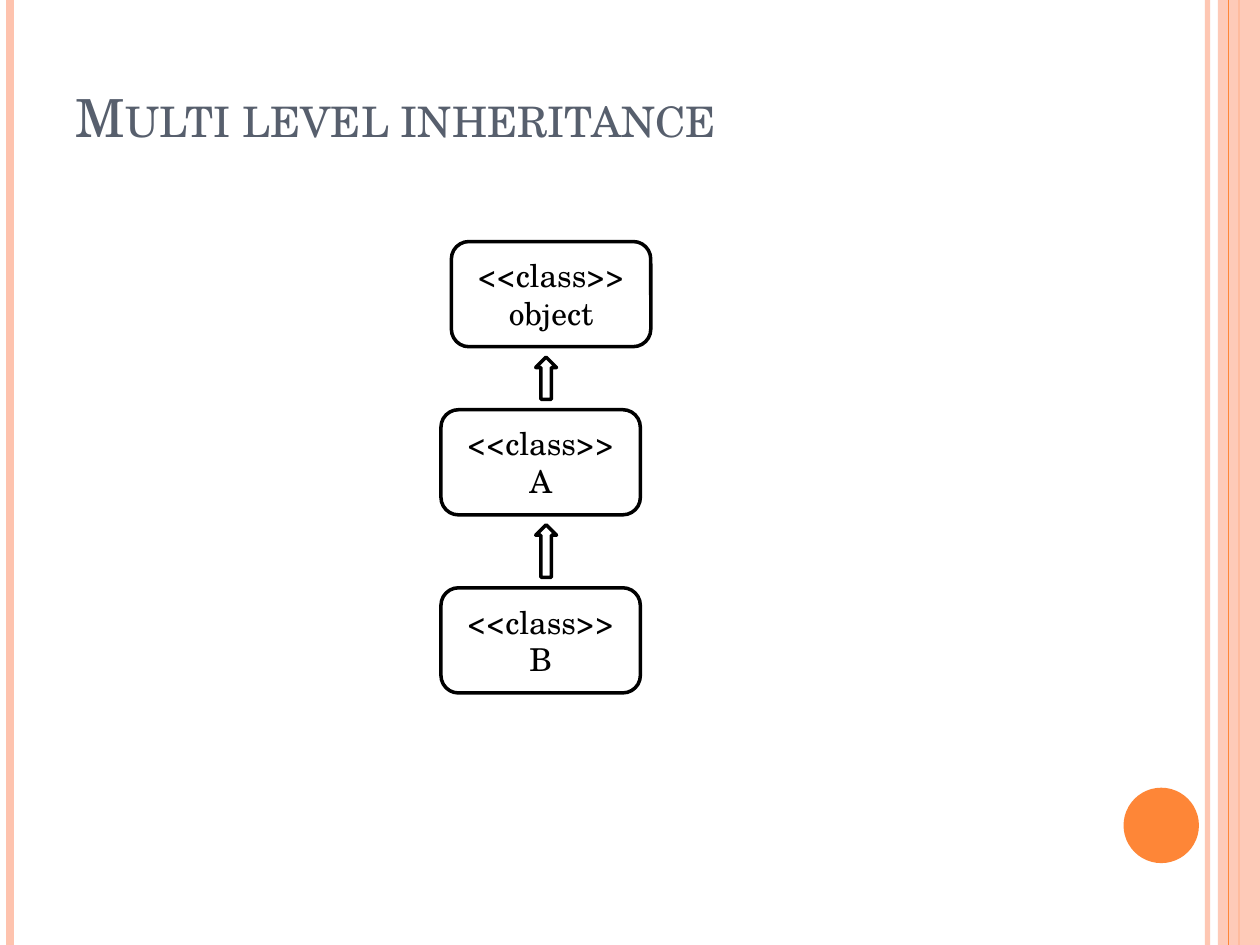
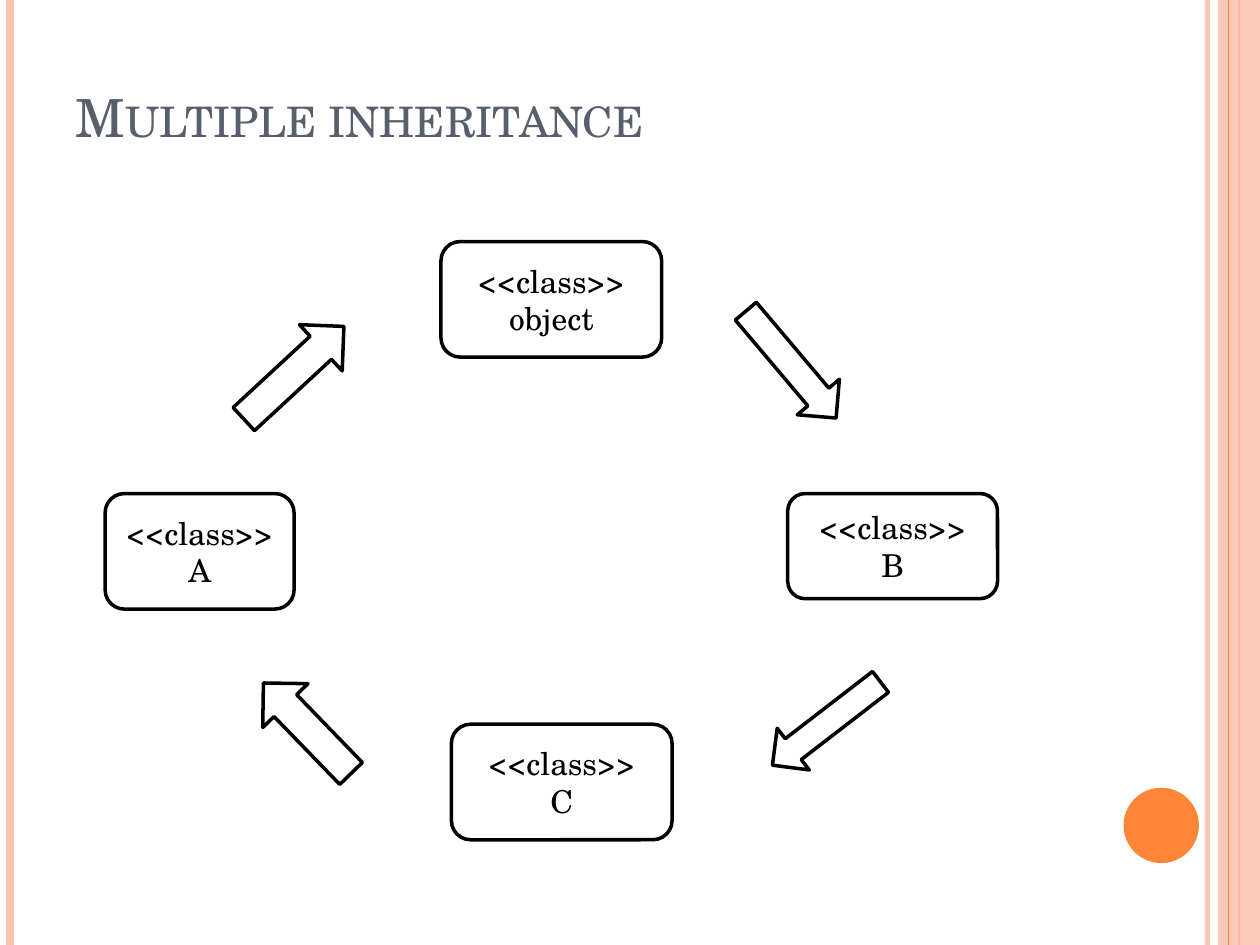
"""Build two slides of class inheritance diagrams."""
import pptx
import pptx.dml.color
import pptx.enum.shapes
import pptx.enum.text
import pptx.oxml.ns
import pptx.util
import lxml.etree

Cm = pptx.util.Cm
Pt = pptx.util.Pt
RGBColor = pptx.dml.color.RGBColor
MSO_SHAPE = pptx.enum.shapes.MSO_SHAPE
PP_ALIGN = pptx.enum.text.PP_ALIGN
MSO_ANCHOR = pptx.enum.text.MSO_ANCHOR
qn = pptx.oxml.ns.qn

PEACH = RGBColor(0xFE, 0xC3, 0xAE)
ORANGE = RGBColor(0xFE, 0x86, 0x37)
SLATE = RGBColor(0x57, 0x5F, 0x6D)
BLACK = RGBColor(0, 0, 0)
WHITE = RGBColor(255, 255, 255)
FONT = "TeX Gyre Schola"
WIDTH, HEIGHT = 25.4, 19.05


def add_shape(s, kind, box, fill, line=None):
    sp = s.shapes.add_shape(kind, *[Cm(v) for v in box])
    sp.shadow.inherit = False
    sp.fill.solid()
    sp.fill.fore_color.rgb = fill
    if line is None:
        sp.line.fill.background()
    else:
        sp.line.color.rgb = line
        sp.line.width = Pt(2)
    return sp


def add_run(p, text, size, color):
    r = p.add_run()
    r.text = text
    r.font.name = FONT
    r.font.size = Pt(size)
    r.font.color.rgb = color
    return r


prs = pptx.Presentation()
prs.slide_width, prs.slide_height = Cm(WIDTH), Cm(HEIGHT)
layout = prs.slide_layouts.get_by_name("Title Only")

title = layout.placeholders[0]
title.left, title.top, title.width, title.height = Cm(1.27), Cm(0.76), Cm(20.74), Cm(3.18)

pages = [
    ("Multi level inheritance",
     [("object", (9.1, 4.87, 4.02, 2.12)),
      ("A", (8.89, 8.26, 4.02, 2.12)),
      ("B", (8.89, 11.85, 4.02, 2.12))],
     [((10.8, 7.2, 0.42, 0.85), 0),
      ((10.8, 10.58, 0.42, 1.06), 0)]),
    ("Multiple inheritance",
     [("object", (8.89, 4.87, 4.45, 2.33)),
      ("A", (2.12, 9.95, 3.81, 2.33)),
      ("B", (15.88, 9.95, 4.23, 2.12)),
      ("C", (9.1, 14.6, 4.45, 2.33))],
     [((5.56, 13.41, 1.27, 2.54), 315.9),
      ((5.29, 6.14, 1.27, 2.75), 47.2),
      ((15.39, 5.94, 1.11, 2.82), 139.8),
      ((16.13, 13.21, 1.06, 2.75), 232.4)]),
]
slides = [prs.slides.add_slide(layout) for page in pages]

s = slides[0]
rules = []
for x, color, weight in [(24.34, PEACH, 3), (0.21, PEACH, 4.5), (24.98, ORANGE, 1.5), (24.77, ORANGE, 0.75)]:
    rule = s.shapes.add_connector(pptx.enum.shapes.MSO_CONNECTOR.STRAIGHT, Cm(x), 0, Cm(x), Cm(HEIGHT))
    rule.line.color.rgb = color
    rule.line.width = Pt(weight)
    lxml.etree.SubElement(rule._element.spPr, qn("a:effectLst"))
    rules.append(rule)
band = add_shape(s, MSO_SHAPE.RECTANGLE, (24.55, 0, 0.85, HEIGHT), PEACH)
dot = add_shape(s, MSO_SHAPE.OVAL, (22.65, 15.88, 1.52, 1.52), ORANGE)
for sp, alpha in [(rules[0], 93), (band, 87)]:
    clr = sp._element.spPr.find(".//" + qn("a:srgbClr"))
    lxml.etree.SubElement(clr, qn("a:alpha")).set("val", str(alpha * 1000))

for i, sp in enumerate(rules[:3] + [band, rules[3], dot]):
    sp._element.find(".//" + qn("p:cNvPr")).set("id", str(100 + i))
    layout.shapes._spTree.insert(2 + i, sp._element)

for s, (heading, classes, arrows) in zip(slides, pages):
    tf = s.shapes.title.text_frame
    tf.auto_size = pptx.enum.text.MSO_AUTO_SIZE.NONE
    tf.vertical_anchor = MSO_ANCHOR.MIDDLE
    p = tf.paragraphs[0]
    p.alignment = PP_ALIGN.LEFT
    r = add_run(p, heading, 30, SLATE)
    r.font._element.set("cap", "small")

    for name, box in classes:
        sp = add_shape(s, MSO_SHAPE.ROUNDED_RECTANGLE, box, WHITE, BLACK)
        tf = sp.text_frame
        tf.vertical_anchor = MSO_ANCHOR.MIDDLE
        for p, text in [(tf.paragraphs[0], "<<class>>"), (tf.add_paragraph(), name)]:
            p.alignment = PP_ALIGN.CENTER
            add_run(p, text, 18, BLACK)

    for box, angle in arrows:
        sp = add_shape(s, MSO_SHAPE.UP_ARROW, box, WHITE, BLACK)
        sp.rotation = angle

prs.save("out.pptx")
